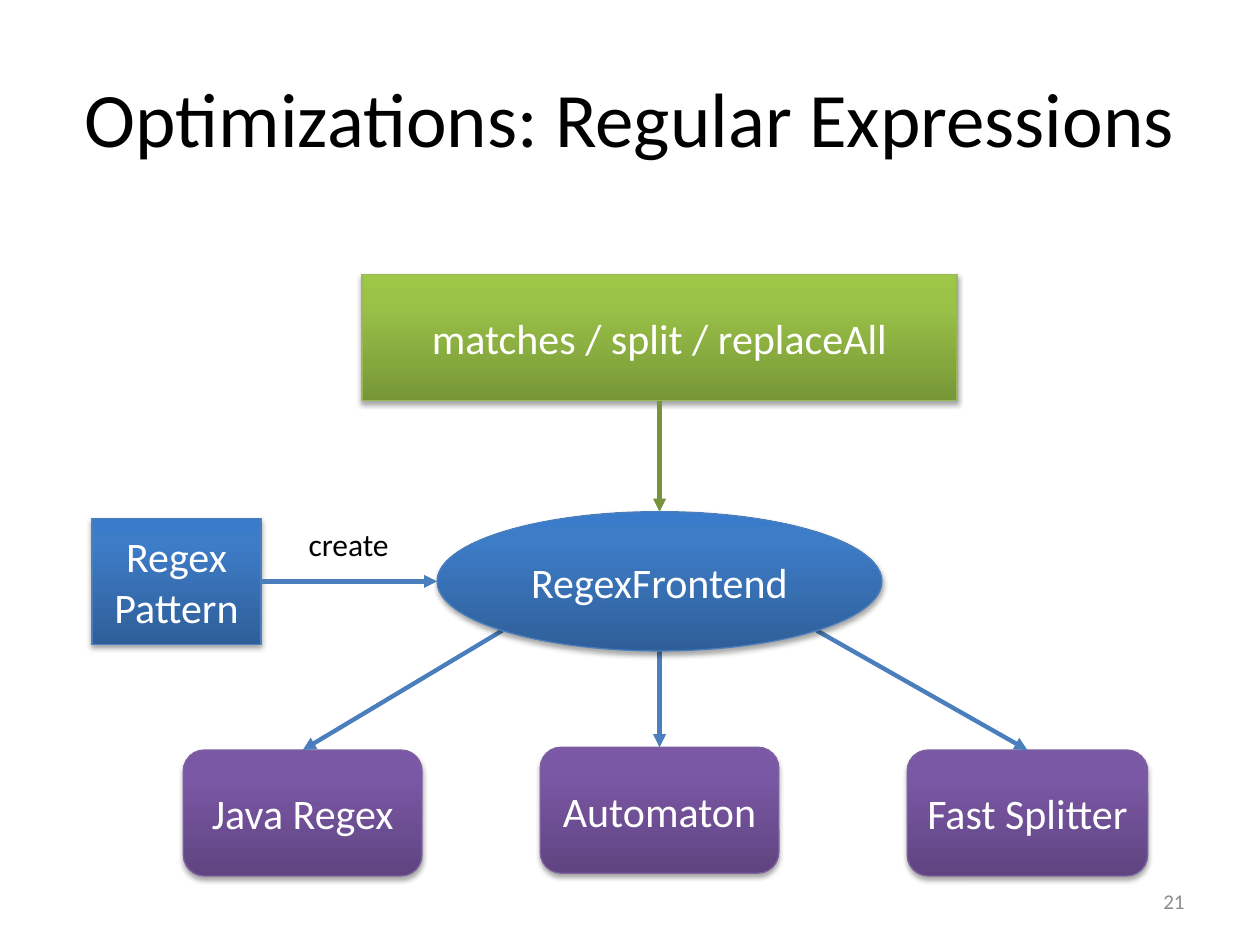
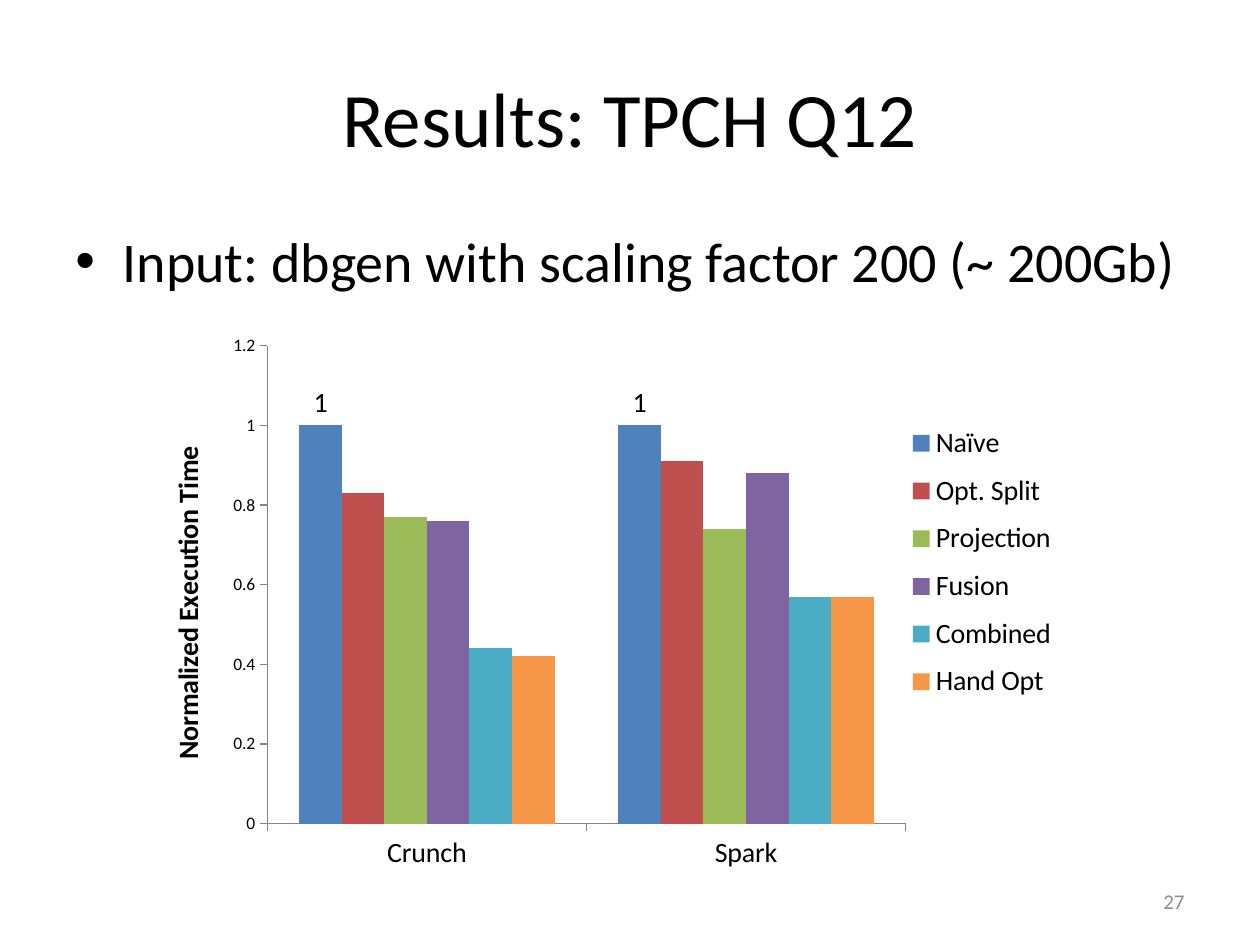
from copy import deepcopy
from dataclasses import dataclass
from math import sqrt

from lxml import etree
from pptx import Presentation
from pptx.chart.data import CategoryChartData
from pptx.dml.color import RGBColor
from pptx.enum.chart import XL_CHART_TYPE, XL_LABEL_POSITION, XL_LEGEND_POSITION, XL_TICK_MARK
from pptx.enum.shapes import MSO_CONNECTOR, MSO_SHAPE
from pptx.enum.text import MSO_ANCHOR, PP_ALIGN
from pptx.oxml.ns import qn
from pptx.util import Pt

RECTANGLE = MSO_SHAPE.RECTANGLE
ROUNDED = MSO_SHAPE.ROUNDED_RECTANGLE
ELLIPSE = MSO_SHAPE.OVAL
STRAIGHT = MSO_CONNECTOR.STRAIGHT
LEFT, CENTER, RIGHT = PP_ALIGN.LEFT, PP_ALIGN.CENTER, PP_ALIGN.RIGHT
TOP, MIDDLE = MSO_ANCHOR.TOP, MSO_ANCHOR.MIDDLE
COLUMNS = XL_CHART_TYPE.COLUMN_CLUSTERED


# Shared look
@dataclass(frozen=True)
class Palette:
    stops: tuple[str, str, str]
    outline: str


@dataclass(frozen=True)
class Theme:
    font: str = "Calibri"
    text: str = "000000"
    light: str = "FFFFFF"
    muted: str = "8C8C8C"
    axis: str = "868686"
    blue: Palette = Palette(("2F5F99", "3D7CC7", "3A7CCB"), "4B7EBC")
    green: Palette = Palette(("779737", "9BC348", "9DC746"), "98B955")
    purple: Palette = Palette(("5F4480", "7B58A6", "7C57A8"), "7D60A0")
    green_arrow: str = "77933C"
    title_size: float = 44
    body_size: float = 32
    node_size: float = 24
    label_size: float = 18
    chart_size: float = 16
    number_size: float = 12
    tick_size: float = 10


THEME = Theme()


@dataclass(frozen=True)
class Box:
    left: float
    top: float
    width: float
    height: float

    @property
    def lengths(self) -> tuple:
        return Pt(self.left), Pt(self.top), Pt(self.width), Pt(self.height)

    def at(self, across: float, down: float) -> tuple[float, float]:
        """Point at a fraction of the width and height."""
        return self.left + across * self.width, self.top + down * self.height


@dataclass(frozen=True)
class Node:
    text: str
    box: Box
    kind: int
    palette: Palette


@dataclass(frozen=True)
class Series:
    name: str
    values: tuple[float, float]
    color: str


TITLE_BOX = Box(36, 21.6, 648, 90)
BODY_BOX = Box(36, 126, 648, 356.4)
NUMBER_BOX = Box(516, 500.5, 168, 28.75)

# Regular expression diagram
METHODS = Node("matches / split / replaceAll", Box(206.9, 157, 340, 72), RECTANGLE, THEME.green)
FRONTEND = Node("RegexFrontend", Box(249.8, 292.4, 254.2, 79.6), ELLIPSE, THEME.blue)
PATTERN = Node("Regex Pattern", Box(52.6, 296.2, 96.6, 72), RECTANGLE, THEME.blue)
ENGINES = [
    Node("Java Regex", Box(104.8, 428.6, 136.4, 72), ROUNDED, THEME.purple),
    Node("Automaton", Box(308.7, 427, 136.4, 72), ROUNDED, THEME.purple),
    Node("Fast Splitter", Box(518.4, 428.6, 137.4, 72), ROUNDED, THEME.purple),
]
CREATE_BOX = Box(169.2, 296.6, 61.2, 28.8)

# Execution time chart
CHART_BOX = Box(82.1, 185, 544.3, 317.5)
CATEGORIES = ("Crunch", "Spark")
SERIES = [
    Series("Naïve", (1, 1), "4F81BD"),
    Series("Opt. Split", (0.83, 0.91), "C0504D"),
    Series("Projection", (0.77, 0.74), "9BBB59"),
    Series("Fusion", (0.76, 0.88), "8064A2"),
    Series("Combined", (0.44, 0.57), "4BACC6"),
    Series("Hand Opt", (0.42, 0.57), "F79646"),
]


def rgb(color: str) -> RGBColor:
    return RGBColor.from_string(color)


def style_font(font, size: float, color: str = THEME.text, bold: bool = False) -> None:
    font.name, font.size, font.bold = THEME.font, Pt(size), bold
    font.color.rgb = rgb(color)


def write(frame, text: str, *, size: float, color: str = THEME.text, align=LEFT,
          anchor=TOP, wrap: bool = True, bold: bool = False):
    frame.word_wrap = wrap
    frame.vertical_anchor = anchor
    paragraph = frame.paragraphs[0]
    paragraph.alignment = align
    run = paragraph.add_run()
    run.text = text
    style_font(run.font, size, color, bold)
    return paragraph


def add_text(slide, text: str, box: Box, **text_format):
    return write(slide.shapes.add_textbox(*box.lengths).text_frame, text, **text_format)


def add_gradient(shape, colors: tuple[str, str, str]) -> None:
    shape.fill.gradient()
    shape.fill.gradient_angle = 90
    stop_list = shape._element.spPr.find(qn("a:gradFill")).find(qn("a:gsLst"))
    stop_list.append(deepcopy(stop_list[-1]))
    for stop, color, position in zip(shape.fill.gradient_stops, colors, (0, 0.8, 1)):
        stop.color.rgb = rgb(color)
        stop.position = position


def add_shadow(shape) -> None:
    shape.shadow.inherit = False
    effects = shape._element.spPr.find(qn("a:effectLst"))
    shadow = etree.SubElement(effects, qn("a:outerShdw"), blurRad=str(Pt(3.1)),
                              dist=str(Pt(1.8)), dir="5400000", rotWithShape="0")
    color = etree.SubElement(shadow, qn("a:srgbClr"), val="000000")
    etree.SubElement(color, qn("a:alpha"), val="35000")


def add_node(slide, node: Node) -> None:
    shape = slide.shapes.add_shape(node.kind, *node.box.lengths)
    add_gradient(shape, node.palette.stops)
    shape.line.color.rgb = rgb(node.palette.outline)
    shape.line.width = Pt(0.75)
    add_shadow(shape)
    write(shape.text_frame, node.text, size=THEME.node_size, color=THEME.light,
          align=CENTER, anchor=MIDDLE)


def add_arrow(slide, start: tuple[float, float], end: tuple[float, float],
              color: str = THEME.blue.outline) -> None:
    connector = slide.shapes.add_connector(STRAIGHT, *map(Pt, start + end))
    connector.line.color.rgb = rgb(color)
    connector.line.width = Pt(2.5)
    etree.SubElement(connector.line._get_or_add_ln(), qn("a:tailEnd"), type="triangle")
    etree.SubElement(connector._element.spPr, qn("a:effectLst"))


def add_base_slide(presentation, title: str, number: int):
    slide = presentation.slides.add_slide(presentation.slide_layouts[6])
    add_text(slide, title, TITLE_BOX, size=THEME.title_size, align=CENTER, anchor=MIDDLE)
    add_text(slide, str(number), NUMBER_BOX, size=THEME.number_size, color=THEME.muted,
             align=RIGHT, anchor=MIDDLE)
    return slide


def add_bullet(paragraph, indent: float) -> None:
    properties = paragraph._p.get_or_add_pPr()
    properties.set("marL", str(Pt(indent)))
    properties.set("indent", str(-Pt(indent)))
    etree.SubElement(properties, qn("a:buFont"), typeface="Arial")
    etree.SubElement(properties, qn("a:buChar"), char="•")


def set_layout(element, index: int, box: Box, inner: bool = False) -> None:
    """Place a chart part by fractions of the chart's size."""
    for old in element.findall(qn("c:layout")):
        element.remove(old)
    layout = etree.Element(qn("c:layout"))
    manual = etree.SubElement(layout, qn("c:manualLayout"))
    settings = [("layoutTarget", "inner")] if inner else []
    settings += [("xMode", "edge"), ("yMode", "edge"), ("x", box.left), ("y", box.top),
                 ("w", box.width), ("h", box.height)]
    for name, value in settings:
        etree.SubElement(manual, qn(f"c:{name}"), val=str(value))
    element.insert(index, layout)


def add_time_chart(slide) -> None:
    data = CategoryChartData()
    data.categories = CATEGORIES
    for series in SERIES:
        data.add_series(series.name, series.values)
    chart = slide.shapes.add_chart(COLUMNS, *CHART_BOX.lengths, data).chart
    chart.has_title = False
    style_font(chart.font, THEME.tick_size)

    # Columns and value labels
    plot = chart.plots[0]
    plot.gap_width, plot.overlap, plot.vary_by_categories = 150, 0, False
    for column, series in zip(plot.series, SERIES):
        column.format.fill.solid()
        column.format.fill.fore_color.rgb = rgb(series.color)
    labels = plot.series[0].data_labels
    labels.show_value = True
    labels.position = XL_LABEL_POSITION.OUTSIDE_END
    style_font(labels.font, THEME.chart_size)

    # Axes
    for axis, size in ((chart.category_axis, THEME.chart_size),
                       (chart.value_axis, THEME.tick_size)):
        axis.has_major_gridlines = False
        axis.major_tick_mark = XL_TICK_MARK.OUTSIDE
        axis.minor_tick_mark = XL_TICK_MARK.NONE
        axis.format.line.color.rgb = rgb(THEME.axis)
        style_font(axis.tick_labels.font, size)
    value_axis = chart.value_axis
    value_axis.minimum_scale, value_axis.maximum_scale, value_axis.major_unit = 0, 1.2, 0.2
    value_axis.tick_labels.number_format = "General"
    value_axis.tick_labels.number_format_is_linked = False
    title = value_axis.axis_title.text_frame
    write(title, "Normalized Execution Time", size=THEME.chart_size, align=CENTER, bold=True)
    title._txBody.bodyPr.set("rot", "-5400000")

    # Legend and placement
    chart.has_legend = True
    chart.legend.position = XL_LEGEND_POSITION.RIGHT
    chart.legend.include_in_layout = False
    style_font(chart.legend.font, THEME.chart_size)
    plot_area = chart._chartSpace.chart.plotArea
    set_layout(plot_area, 0, Box(0.13, 0.04, 0.67, 0.86), inner=True)
    set_layout(chart.legend._element, 1, Box(0.78, 0.16, 0.2, 0.54))


def build_regex_slide(presentation) -> None:
    slide = add_base_slide(presentation, "Optimizations: Regular Expressions", 21)
    diagonal = sqrt(0.5) / 2
    for engine, offset in zip(ENGINES, (-diagonal, 0, diagonal)):
        add_node(slide, engine)
        start = FRONTEND.box.at(0.5 + offset, 0.5 + (diagonal if offset else 0.5))
        add_arrow(slide, start, engine.box.at(0.5, 0))
    for node in (METHODS, FRONTEND, PATTERN):
        add_node(slide, node)
    add_arrow(slide, METHODS.box.at(0.5, 1), FRONTEND.box.at(0.5, 0), THEME.green_arrow)
    add_text(slide, "create", CREATE_BOX, size=THEME.label_size, wrap=False)
    add_arrow(slide, PATTERN.box.at(1, 0.5), FRONTEND.box.at(0, 0.5))


def build_results_slide(presentation) -> None:
    slide = add_base_slide(presentation, "Results: TPCH Q12", 27)
    paragraph = add_text(slide, "Input: dbgen with scaling factor 200 (~ 200Gb)", BODY_BOX,
                         size=THEME.body_size)
    paragraph.space_before = Pt(0.2 * THEME.body_size)
    add_bullet(paragraph, 27)
    add_time_chart(slide)


def main() -> None:
    presentation = Presentation()
    presentation.slide_width, presentation.slide_height = Pt(720), Pt(540)
    build_regex_slide(presentation)
    build_results_slide(presentation)
    presentation.save("out.pptx")


if __name__ == "__main__":
    main()
